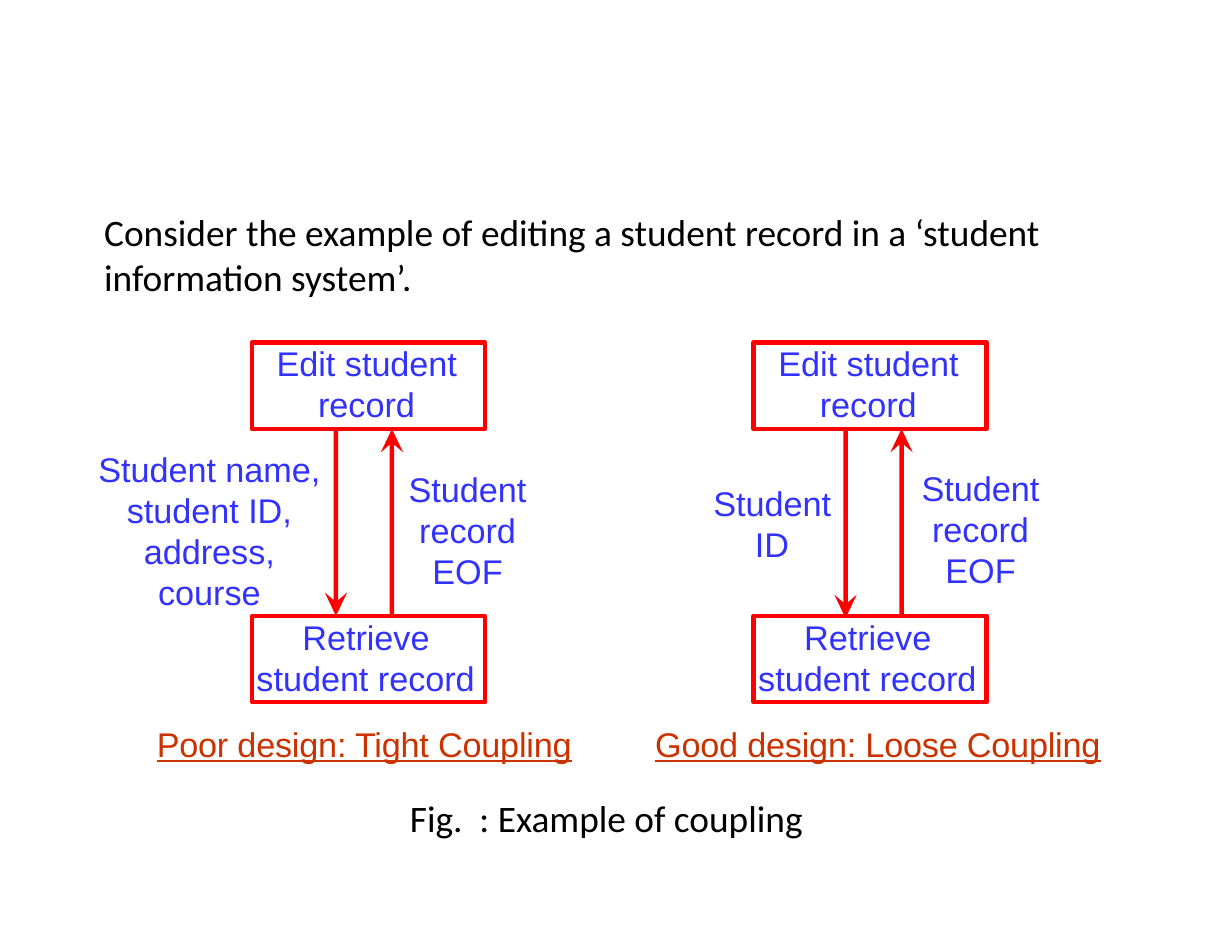
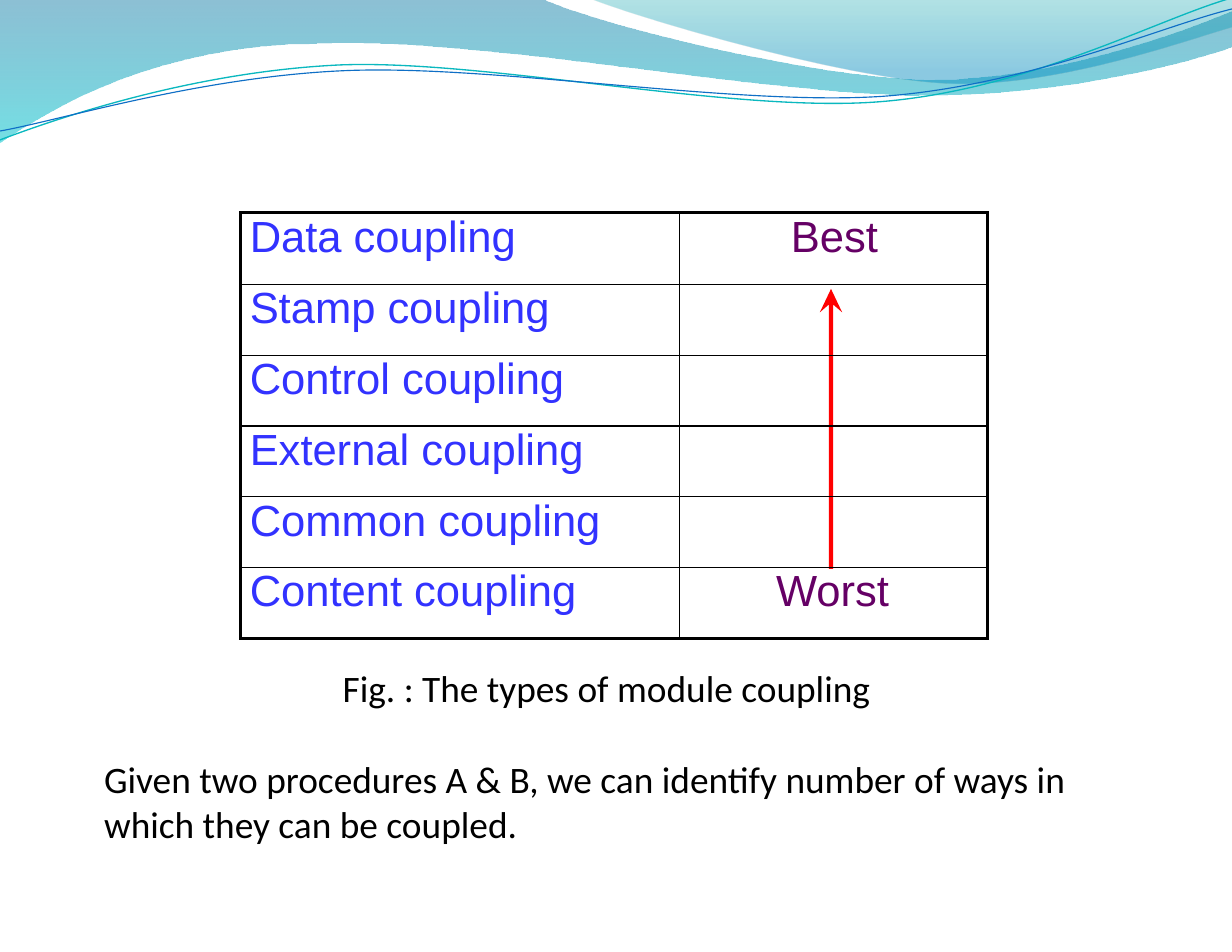
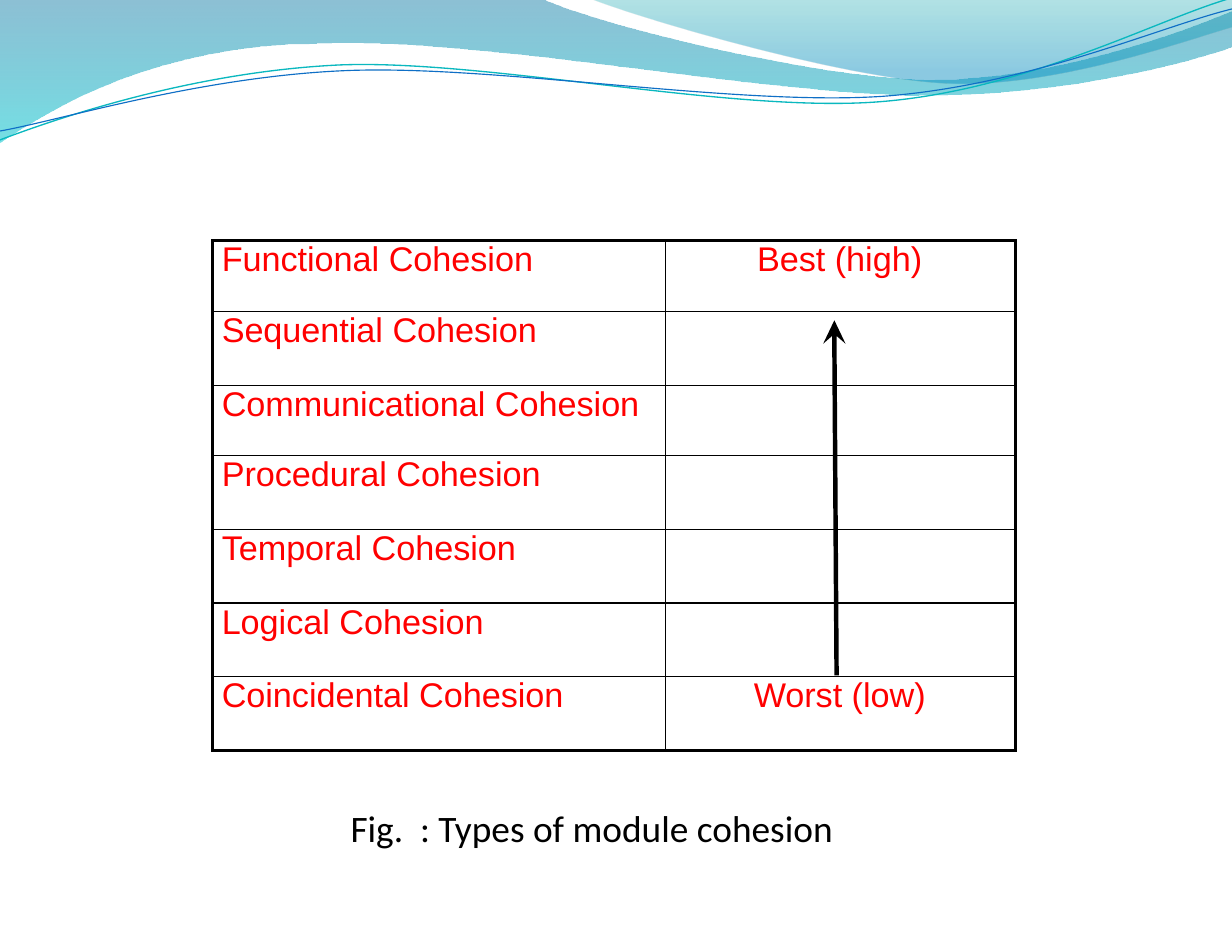
import math

from lxml import etree
from pptx import Presentation
from pptx.dml.color import RGBColor
from pptx.enum.shapes import MSO_SHAPE
from pptx.enum.text import MSO_ANCHOR, MSO_AUTO_SIZE, PP_ALIGN
from pptx.oxml.ns import qn
from pptx.util import Inches, Pt

LEFT, CENTER = PP_ALIGN.LEFT, PP_ALIGN.CENTER
TOP = MSO_ANCHOR.TOP
FIT_SHAPE = MSO_AUTO_SIZE.SHAPE_TO_FIT_TEXT
RECTANGLE = MSO_SHAPE.RECTANGLE

RED, BLUE, PURPLE, RUST, BLACK = "FF0000", "3232FF", "650065", "CC3200", "000000"
BODY = {"name": "Calibri", "size": Pt(24), "color": BLACK}
LABEL = {"name": "Arial", "size": Pt(22), "color": BLUE}
CAPTION = {**LABEL, "color": RUST, "underline": True}
COUPLING = {**LABEL, "size": Pt(28)}
RANK = {**COUPLING, "color": PURPLE}
COHESION = {**LABEL, "color": RED}
NO_INSETS = {"margin_left": 0, "margin_top": 0, "margin_right": 0,
             "margin_bottom": 0, "vertical_anchor": TOP}
FRAME = {**NO_INSETS, "word_wrap": True, "auto_size": FIT_SHAPE}

# Wave outlines: a start point, then lines (2 numbers) and curves (6 numbers).
BACK_WAVE = [(0, 0), (4.84, -0.01), (5.23, 0.19, 7.3, 0.71, 8.34, 0.71),
             (9.38, 0.71, 10.54, 0.29, 11, 0.1), (11.01, 0.41),
             (10.82, 0.5, 9.57, 0.86, 8.2, 0.85), (6.84, 0.85, 4.2, 0.32, 2.83, 0.39),
             (1.42, 0.4, 0.5, 0.94, -0.01, 1.28)]
FRONT_WAVE = [(5.27, -0.01), (5.6, 0.13, 7.5, 0.7, 8.46, 0.74),
              (9.41, 0.78, 10.58, 0.36, 11, 0.24), (11, 0)]
TEAL_LINE = [(0, 1.25), (0.53, 1.05, 1.73, 0.64, 3.04, 0.58),
             (4.35, 0.53, 6.52, 1.01, 7.84, 0.91), (9.16, 0.81, 10.32, 0.18, 10.97, -0.01)]
BLUE_LINE = [(0, 1.17), (0.52, 1.08, 1.8, 0.68, 3.11, 0.63),
             (4.43, 0.58, 6.57, 0.95, 7.89, 0.86), (9.2, 0.76, 10.35, 0.24, 11, 0.08)]
TILT = 2.7


def rgb(color):
    """Turn a hex string into a colour."""
    return RGBColor.from_string(color)


def apply(target, values):
    """Set each attribute named in values."""
    for name, value in values.items():
        setattr(target, name, value)


def write(frame, text, style, align=LEFT, indent=(0.01, 0), tracking=0):
    """Write a styled paragraph; indent is its margin and first-line offset."""
    paragraph = frame.paragraphs[0]
    paragraph.alignment = align
    properties = paragraph._p.get_or_add_pPr()
    for name, length in zip(("marL", "indent"), indent):
        properties.set(name, str(Inches(length)))
    run = paragraph.add_run()
    run.text = text
    apply(run.font, {key: value for key, value in style.items() if key != "color"})
    run.font.color.rgb = rgb(style["color"])
    if tracking:
        run._r.get_or_add_rPr().set("spc", str(tracking))


def add_text(slide, box, text, style, **layout):
    """Place a text box without insets."""
    frame = slide.shapes.add_textbox(*map(Inches, box)).text_frame
    apply(frame, FRAME)
    write(frame, text, style, **layout)


def add_outline(slide, steps, close=True):
    """Draw a freeform of lines and cubic curves."""
    points = [(Inches(step[i]), Inches(step[i + 1]))
              for step in steps for i in range(0, len(step), 2)]
    builder = slide.shapes.build_freeform(*points[0])
    builder.add_line_segments(points[1:], close=close)
    shape = builder.convert_to_shape()
    shape.shadow.inherit = False
    segments = iter(list(shape._element.iter(qn("a:lnTo"))))
    for step in steps[1:]:
        segment = next(segments)
        if len(step) == 6:
            segment.tag = qn("a:cubicBezTo")
            for _ in range(2):
                extra = next(segments)
                segment.append(extra[0])
                extra.getparent().remove(extra)
    return shape


def add_arrow(slide, start, end, color):
    """Draw a vertical, nearly straight arrow with a swept-back head."""
    (tail_x, tail_y), (tip_x, tip_y) = start, end
    down = 1 if tail_y < tip_y else -1
    barb, neck = tip_y - down * 0.21, tip_y - down * 0.14
    arrow = add_outline(slide, [
        end, (tip_x + 0.1, barb), (tip_x + 0.02, neck), (tail_x + 0.02, tail_y),
        (tail_x - 0.02, tail_y), (tip_x - 0.02, neck), (tip_x - 0.1, barb)])
    arrow.fill.solid()
    arrow.fill.fore_color.rgb = rgb(color)
    arrow.line.fill.background()


def add_module(slide, box, text, indent):
    """Draw a red-framed module."""
    module = slide.shapes.add_shape(RECTANGLE, *map(Inches, box))
    module.shadow.inherit = False
    module.fill.background()
    module.line.color.rgb = rgb(RED)
    module.line.width = Pt(3)
    apply(module.text_frame, FRAME)
    write(module.text_frame, text, LABEL, indent=indent)


def coupling_diagram(slide, left, top, arrow_left, drop, labels, caption):
    """Draw two modules, the arrows between them, their labels and a caption."""
    width, height, pitch = 2.08, 0.77, 2.44
    add_module(slide, (left, top, width, height), "Edit student record", (0.59, -0.37))
    add_module(slide, (left, top + pitch, width, height), "Retrieve student record",
               (0.04, 0.41))
    upper, lower = top + height, top + pitch
    add_arrow(slide, (arrow_left, upper + drop), (arrow_left, lower + drop), RED)
    add_arrow(slide, (arrow_left + 0.5, lower), (arrow_left + 0.5, upper), RED)
    for box, text, layout in labels:
        add_text(slide, box, text, LABEL, **layout)
    box, text = caption
    add_text(slide, box, text, CAPTION, tracking=-10)


def turned(steps, pivot, degrees):
    """Turn the points of an outline clockwise about a pivot."""
    (px, py), angle = pivot, math.radians(degrees)
    cos, sin = math.cos(angle), math.sin(angle)
    result = []
    for step in steps:
        numbers = []
        for x, y in zip(step[::2], step[1::2]):
            numbers += [px + (x - px) * cos - (y - py) * sin,
                        py + (x - px) * sin + (y - py) * cos]
        result.append(tuple(numbers))
    return result


def wave_band(slide):
    """Draw the translucent waves and thin lines along the top edge."""
    for steps, stops in (
        (BACK_WAVE, [(0, "0074A1", 45), (1, "00C6CF", 55)]),
        (FRONT_WAVE, [(0, "00A1A9", 30), (0.8, "008BBF", 45)]),
    ):
        wave = add_outline(slide, steps)
        wave.line.fill.background()
        wave.fill.gradient()
        wave.fill.gradient_angle = 270
        for stop, (position, color, _) in zip(wave.fill.gradient_stops, stops):
            stop.position = position
            stop.color.rgb = rgb(color)
        tints = wave._element.spPr.iter(qn("a:srgbClr"))
        for tint, (_, _, opacity) in zip(tints, stops):
            etree.SubElement(tint, qn("a:alpha"), val=str(opacity * 1000))
    for steps, pivot, color, weight in (
        (TEAL_LINE, (5.49, 0.65), "0AB8BF", 0.85),
        (BLUE_LINE, (5.5, 0.67), "0F6FC6", 0.75),
    ):
        thread = add_outline(slide, turned(steps, pivot, TILT), close=False)
        thread.rotation = 360 - TILT
        thread.fill.background()
        thread.line.color.rgb = rgb(color)
        thread.line.width = Pt(weight)


def share_on_layout(slide):
    """Move what is drawn on a slide to its layout."""
    for shape in list(slide.shapes):
        slide.slide_layout.shapes._spTree.append(shape._element)


def set_borders(cell, weights):
    """Give a cell black borders, weights in points by side, ahead of its fill."""
    properties = cell._tc.get_or_add_tcPr()
    for index, (side, weight) in enumerate(weights.items()):
        border = etree.Element(qn("a:ln" + side), w=str(Pt(weight)))
        fill = etree.SubElement(border, qn("a:solidFill"))
        etree.SubElement(fill, qn("a:srgbClr"), val=BLACK)
        properties.insert(index, border)


def ranking_table(slide, box, widths, heights, kinds, ranks, kind_style, rank_style):
    """List kinds from best to worst, with the ranks in the end rows."""
    count = len(kinds)
    table = slide.shapes.add_table(count, 2, *map(Inches, box)).table
    apply(table, {"first_row": False, "horz_banding": False})
    for column, width in zip(table.columns, widths):
        column.width = Inches(width)
    for row, height in zip(table.rows, heights):
        row.height = Inches(height)
    for r in range(count):
        for c in range(2):
            cell = table.cell(r, c)
            apply(cell, NO_INSETS)
            cell.fill.background()
            edges = {"L": c == 0, "R": c == 1, "T": r == 0, "B": r == count - 1}
            set_borders(cell, {side: 2.25 if outer else 1 for side, outer in edges.items()})
        write(table.cell(r, 0).text_frame, kinds[r], kind_style, indent=(0.08, 0))
    for r, (text, layout) in zip((0, count - 1), ranks):
        write(table.cell(r, 1).text_frame, text, rank_style, **layout)


def coupling_example(slide):
    """Compare tight and loose coupling."""
    centered = {"align": CENTER}
    add_text(slide, (0.92, 1.87, 9.16, 0.81),
             "Consider the example of editing a student record in a "
             "‘student information system’.", BODY)
    coupling_diagram(
        slide, 2.25, 3.06, 3, 0,
        [((0.86, 4, 2.01, 1.43), "Student name, student ID, address, course", centered),
         ((3.63, 4.18, 1.08, 1.07), "Student record EOF", centered)],
        ((1.39, 6.46, 3.8, 0.33), "Poor design: Tight Coupling"))
    coupling_diagram(
        slide, 6.73, 3.06, 7.55, 0.02,
        [((6.35, 4.31, 1.08, 0.7), "Student ID", {"indent": (0.39, -0.37)}),
         ((8.21, 4.17, 1.08, 1.06), "Student record EOF", centered)],
        ((5.84, 6.46, 4.06, 0.33), "Good design: Loose Coupling"))
    add_text(slide, (3.65, 7.1, 3.86, 0.4), "Fig.  : Example of coupling", BODY)


def coupling_types(slide):
    """Rank the types of coupling."""
    add_text(slide, (0.92, 6.75, 9.24, 0.81),
             "Given two procedures A & B, we can identify number of ways in "
             "which they can be coupled.", BODY)
    add_arrow(slide, (7.42, 5.08), (7.42, 2.58), RED)
    add_text(slide, (3.05, 5.94, 5.06, 0.4), "Fig. : The types of module coupling", BODY)
    kinds = ["Data", "Stamp", "Control", "External", "Common", "Content"]
    ranking_table(slide, (2.15, 1.9, 6.67, 3.8), (3.92, 2.75), [0.64] + [3.16 / 5] * 5,
                  [f"{kind} coupling" for kind in kinds],
                  [("Best", {"align": CENTER}), ("Worst", {"indent": (0.86, 0)})],
                  COUPLING, RANK)


def cohesion_types(slide):
    """Rank the types of cohesion."""
    add_text(slide, (3.12, 7.19, 4.76, 0.4), "Fig.  : Types of module cohesion", BODY)
    add_arrow(slide, (7.47, 6.03), (7.45, 2.86), BLACK)
    kinds = ["Functional", "Sequential", "Communicational", "Procedural",
             "Temporal", "Logical", "Coincidental"]
    ranking_table(slide, (1.9, 2.15, 7.17, 4.55), (4.04, 3.13),
                  [0.63, 0.66, 0.63] + [2.63 / 4] * 4,
                  [f"{kind} Cohesion" for kind in kinds],
                  [("Best (high)", {"indent": (0.82, 0)}),
                   ("Worst (low)", {"indent": (0.79, 0)})],
                  COHESION, COHESION)


def main():
    """Build and save the presentation."""
    deck = Presentation()
    apply(deck, {"slide_width": Inches(11), "slide_height": Inches(8.5)})
    plain, waves = deck.slide_layouts[6], deck.slide_layouts[7]
    for placeholder in list(waves.placeholders):
        waves.shapes._spTree.remove(placeholder._element)
    coupling_example(deck.slides.add_slide(plain))
    coupling_slide, cohesion_slide = (deck.slides.add_slide(waves) for _ in range(2))
    wave_band(coupling_slide)
    share_on_layout(coupling_slide)
    coupling_types(coupling_slide)
    cohesion_types(cohesion_slide)
    deck.save("out.pptx")


main()
